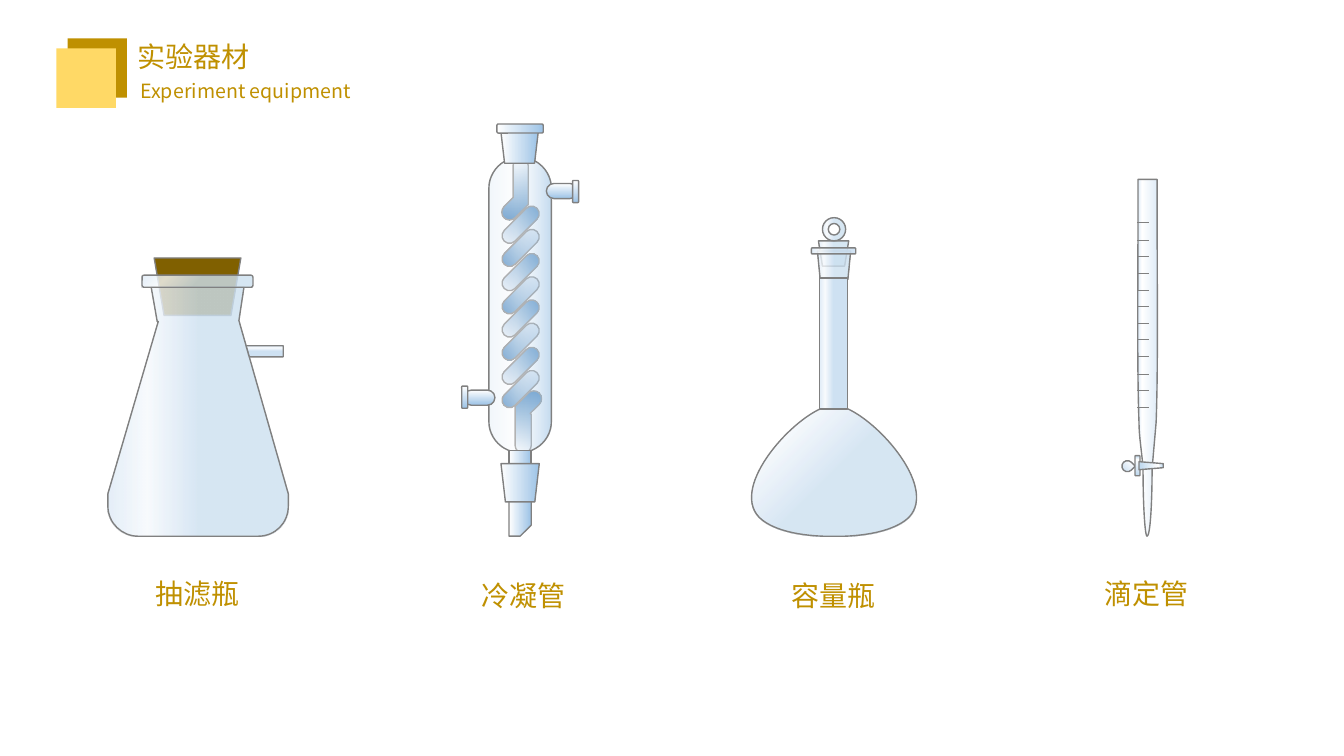
from lxml import etree
from pptx import Presentation
from pptx.dml.color import RGBColor
from pptx.enum.shapes import MSO_CONNECTOR, MSO_SHAPE
from pptx.enum.text import MSO_ANCHOR, MSO_AUTO_SIZE, PP_ALIGN
from pptx.oxml.ns import qn
from pptx.util import Pt

PX = 9144  # EMU in one px, 100 px to the inch

RECT, ROUND = MSO_SHAPE.RECTANGLE, MSO_SHAPE.ROUNDED_RECTANGLE
TRAPEZOID, SNIPPED = MSO_SHAPE.TRAPEZOID, MSO_SHAPE.SNIP_1_RECTANGLE
DONUT, TEARDROP = MSO_SHAPE.DONUT, MSO_SHAPE.TEAR
STRAIGHT = MSO_CONNECTOR.STRAIGHT
TOP, LEFT = MSO_ANCHOR.TOP, PP_ALIGN.LEFT
FIT_SHAPE = MSO_AUTO_SIZE.SHAPE_TO_FIT_TEXT

GOLD = RGBColor(0xBF, 0x90, 0x00)
LIGHT_GOLD = RGBColor(0xFF, 0xD9, 0x66)
CORK = RGBColor(0x80, 0x60, 0x00)
OUTLINE = RGBColor(0x80, 0x80, 0x80)
WHITE = RGBColor(0xFF, 0xFF, 0xFF)
ICE = RGBColor(0xDE, 0xEB, 0xF7)
FROST = RGBColor(0xF7, 0xFA, 0xFD)
MIST = RGBColor(0xCE, 0xE1, 0xF2)
PALE_BLUE = RGBColor(0xBD, 0xD7, 0xEE)
SKY = RGBColor(0x9D, 0xC3, 0xE6)
BLUE = RGBColor(0x2E, 0x75, 0xB6)
CJK_FONT = "Noto Sans CJK SC"


def glass(alpha, bright=20):
    return (0, ICE, alpha), (bright, FROST, alpha), (50, MIST, alpha)


# Gradients: (position %, colour, opacity %)
COIL = (0, FROST, 100), (100, BLUE, 100)
FITTING = (0, WHITE, 100), (100, SKY, 100)
JACKET = (0, ICE, 40), (45, WHITE, 40), (100, SKY, 60)
BURETTE = (0, ICE, 100), (20, WHITE, 100), (100, ICE, 100)
TAP = (0, PALE_BLUE, 100), (20, WHITE, 100), (100, PALE_BLUE, 100)


def paint(shape, stops, angle=0):
    """Fill with a gradient; angle None means radial from the top left."""
    shape.shadow.inherit = False
    shape.line.color.rgb = OUTLINE
    shape.line.width = Pt(1)
    shape.fill.gradient()
    fill = shape.element.spPr.find(qn("a:gradFill"))
    fill.clear()
    fill.set("rotWithShape", "1")
    stop_list = etree.SubElement(fill, qn("a:gsLst"))
    for position, color, alpha in stops:
        stop = etree.SubElement(stop_list, qn("a:gs"), pos=str(position * 1000))
        tint = etree.SubElement(stop, qn("a:srgbClr"), val=str(color))
        if alpha < 100:
            etree.SubElement(tint, qn("a:alpha"), val=str(alpha * 1000))
    if angle is None:
        radial = etree.SubElement(fill, qn("a:path"), path="circle")
        etree.SubElement(radial, qn("a:fillToRect"), l="0", t="0",
                         r="100000", b="100000")
    else:
        etree.SubElement(fill, qn("a:lin"), ang=str(angle * 60000), scaled="0")


def add_part(group, kind, box, stops, angle=0, turn=0, adjust=None, flip=False):
    part = group.shapes.add_shape(kind, *(PX * length for length in box))
    part.rotation = turn
    if adjust is not None:
        part.adjustments[0] = adjust
    if flip:
        part.element.spPr.get_or_add_xfrm().set("flipV", "1")
    paint(part, stops, angle)


def add_solid(parent, kind, box, color):
    shape = parent.shapes.add_shape(kind, *(PX * length for length in box))
    shape.shadow.inherit = False
    shape.fill.solid()
    shape.fill.fore_color.rgb = color
    shape.line.fill.background()
    return shape


def add_outline(group, box, steps, stops, angle=0, turn=0):
    """Steps of two numbers are lines, steps of six are Bezier curves."""
    left, top, width, height = box
    builder = group.shapes.build_freeform(left, top, scale=PX)
    builder.add_line_segments([(left + width, top), (left + width, top + height),
                               (left, top + height)])
    shape = builder.convert_to_shape()
    shape.rotation = turn
    outline = next(shape.element.spPr.iter(qn("a:path")))
    outline.clear()
    outline.set("w", str(width))
    outline.set("h", str(height))
    # Steps are given as drawn on the page; the path is stored before rotation
    cos, sin = {0: (1, 0), 90: (0, 1), 180: (-1, 0)}[turn]
    for index, step in enumerate(steps):
        kind = "cubicBezTo" if len(step) == 6 else "lnTo" if index else "moveTo"
        command = etree.SubElement(outline, qn("a:" + kind))
        for x, y in zip(step[::2], step[1::2]):
            dx, dy = x - left - width / 2, y - top - height / 2
            etree.SubElement(command, qn("a:pt"),
                             x=str(round(width / 2 + dx * cos + dy * sin)),
                             y=str(round(height / 2 - dx * sin + dy * cos)))
    etree.SubElement(outline, qn("a:close"))
    paint(shape, stops, angle)


def write(shape, box, text, size, font=CJK_FONT, wrap=True):
    shape.left, shape.top, shape.width, shape.height = (PX * length for length in box)
    frame = shape.text_frame
    frame.text = text
    frame.word_wrap = wrap
    frame.auto_size = FIT_SHAPE
    frame.vertical_anchor = TOP
    para = frame.paragraphs[0]
    para.alignment = LEFT
    para.font.size = Pt(size)
    para.font.name = font
    para.font.color.rgb = GOLD


def add_text(page, box, *args, **options):
    write(page.shapes.add_textbox(0, 0, PX, PX), box, *args, **options)


def draw_filter_flask(group):
    add_outline(group, (257, 330, 11, 37),
                [(244, 343), (281, 343), (281, 354), (247, 354)], glass(100), turn=90)
    cork = add_solid(group, TRAPEZOID, (153, 256, 86, 57), CORK)
    cork.adjustments[0] = 0.172
    cork.element.spPr.get_or_add_xfrm().set("flipV", "1")
    cork.line.color.rgb = OUTLINE
    cork.line.width = Pt(1)
    add_outline(group, (107, 285, 179, 247),
                [(150, 285), (242, 285), (237, 318), (286, 490), (286, 502),
                 (286, 519, 273, 532, 256, 532), (137, 532),
                 (121, 532, 107, 519, 107, 502), (107, 490), (157, 319),
                 (156, 319)], glass(80, 22))
    add_part(group, ROUND, (141, 273, 110, 12), glass(80, 22), 45)


def draw_condenser(group):
    # Coil
    add_outline(group, (511, 388, 26, 62),
                [(519, 450), (515, 450, 511, 446, 511, 442), (511, 403),
                 (524, 390), (527, 387, 532, 387, 535, 390),
                 (538, 393, 538, 398, 535, 401), (526, 410), (527, 411),
                 (527, 442), (527, 446, 523, 450, 519, 450)], COIL, 90, 180)
    for turn in range(8):
        add_part(group, ROUND, (509, round(200 + turn * 163 / 7), 15, 46), COIL,
                 90 if turn % 2 else 270, 45, 0.5)
    add_outline(group, (498, 157, 26, 62),
                [(516, 157), (520, 157, 524, 160, 524, 164), (524, 203),
                 (511, 216), (508, 219, 503, 219, 500, 216),
                 (497, 213, 497, 208, 500, 205), (509, 196), (509, 164),
                 (509, 160, 512, 157, 516, 157)], COIL, 270, 180)
    # Jacket, outlet and joints
    add_part(group, SNIPPED, (505, 486, 22, 46), FITTING, adjust=0.5, flip=True)
    add_part(group, ROUND, (485, 156, 62, 293), JACKET, adjust=0.5)
    add_part(group, RECT, (505, 447, 22, 31), FITTING)
    add_part(group, TRAPEZOID, (497, 460, 38, 38), FITTING, adjust=0.117, flip=True)
    add_part(group, TRAPEZOID, (497, 131, 37, 31), FITTING, adjust=0.117, flip=True)
    # Water ports
    for port, cap in (((468, 379), (450, 391)), ((550, 174), (560, 187))):
        add_part(group, ROUND, (*port, 15, 31), FITTING, turn=90, adjust=0.5)
        add_part(group, ROUND, (*cap, 22, 6), FITTING, turn=90)
    add_part(group, ROUND, (493, 123, 46, 9), FITTING)


def draw_volumetric_flask(group):
    add_part(group, TRAPEZOID, (812, 239, 30, 25), glass(80), adjust=0.162, flip=True)
    add_part(group, DONUT, (816, 216, 23, 23), glass(80))
    add_part(group, TRAPEZOID, (811, 249, 33, 28), glass(80), adjust=0.098, flip=True)
    add_part(group, ROUND, (805, 246, 44, 6), glass(90))
    add_outline(group, (746, 402, 163, 130),
                [(827, 402), (828, 402), (834, 403),
                 (867, 412, 931, 482, 902, 513), (890, 525, 865, 531, 838, 532),
                 (817, 532), (789, 531, 765, 525, 753, 513),
                 (724, 482, 788, 412, 821, 403)], glass(80), None)
    add_part(group, RECT, (813, 276, 28, 130), glass(100))


def draw_burette(group):
    add_outline(group, (1129, 178, 20, 354),
                [(1129, 178), (1148, 178), (1148, 206),
                 (1148, 289, 1149, 364, 1147, 419), (1143, 465),
                 (1143, 502, 1141, 532, 1138, 532),
                 (1136, 532, 1134, 502, 1134, 465),
                 (1133, 449, 1130, 434, 1130, 419),
                 (1128, 364, 1129, 289, 1129, 206)], BURETTE)
    # Tap
    add_part(group, TEARDROP, (1113, 457, 11, 11), TAP, 90, 45)
    add_part(group, ROUND, (1126, 452, 5, 20), TAP, 90)
    add_part(group, TRAPEZOID, (1138, 450, 8, 24), TAP, 90, 90)
    # Graduations
    for mark in range(12):
        y = round(221 + mark * 183 / 11) * PX
        tick = group.shapes.add_connector(STRAIGHT, 1128 * PX, y, 1140 * PX, y)
        tick.line.color.rgb = OUTLINE
        tick.line.width = Pt(0.5)
        etree.SubElement(tick.element.spPr, qn("a:effectLst"))


def main():
    deck = Presentation()
    deck.slide_width, deck.slide_height = round(4000 / 3 * PX), 750 * PX
    page = deck.slides.add_slide(deck.slide_layouts[5])

    # Heading
    add_solid(page, RECT, (67, 38, 59, 59), GOLD)
    add_solid(page, RECT, (56, 48, 59, 59), LIGHT_GOLD)
    write(page.shapes.title, (126, 34, 380, 44), "实验器材", 20, "Arial")
    add_text(page, (125, 73, 258, 34), " Experiment equipment", 14)

    # Apparatus with captions
    for draw, caption, left, top in ((draw_filter_flask, "抽滤瓶", 144, 567),
                                     (draw_condenser, "冷凝管", 468, 569),
                                     (draw_volumetric_flask, "容量瓶", 775, 569),
                                     (draw_burette, "滴定管", 1086, 567)):
        draw(page.shapes.add_group_shape())
        add_text(page, (left, top, 104, 44), caption, 20, wrap=False)

    deck.save("out.pptx")


if __name__ == "__main__":
    main()
